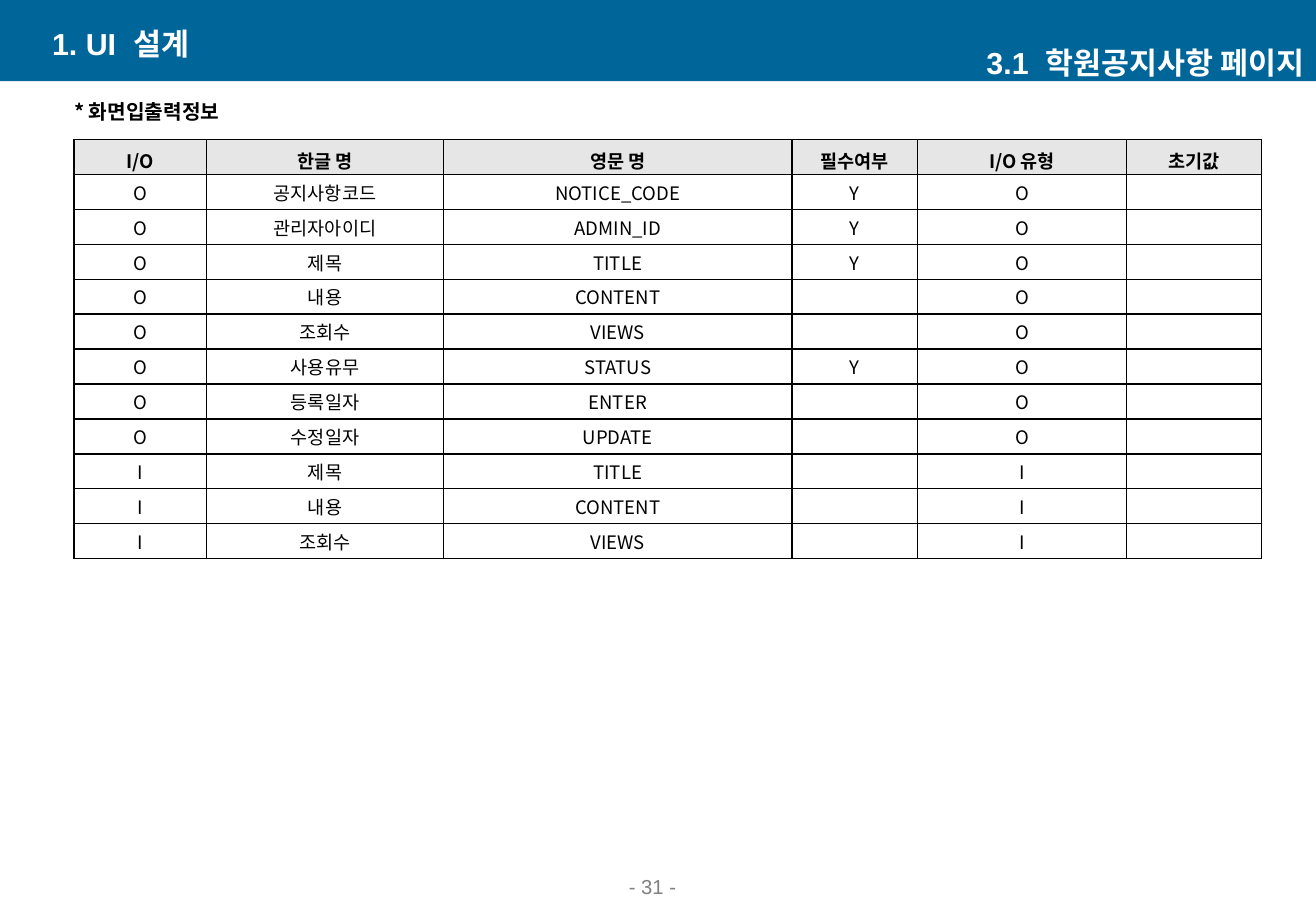
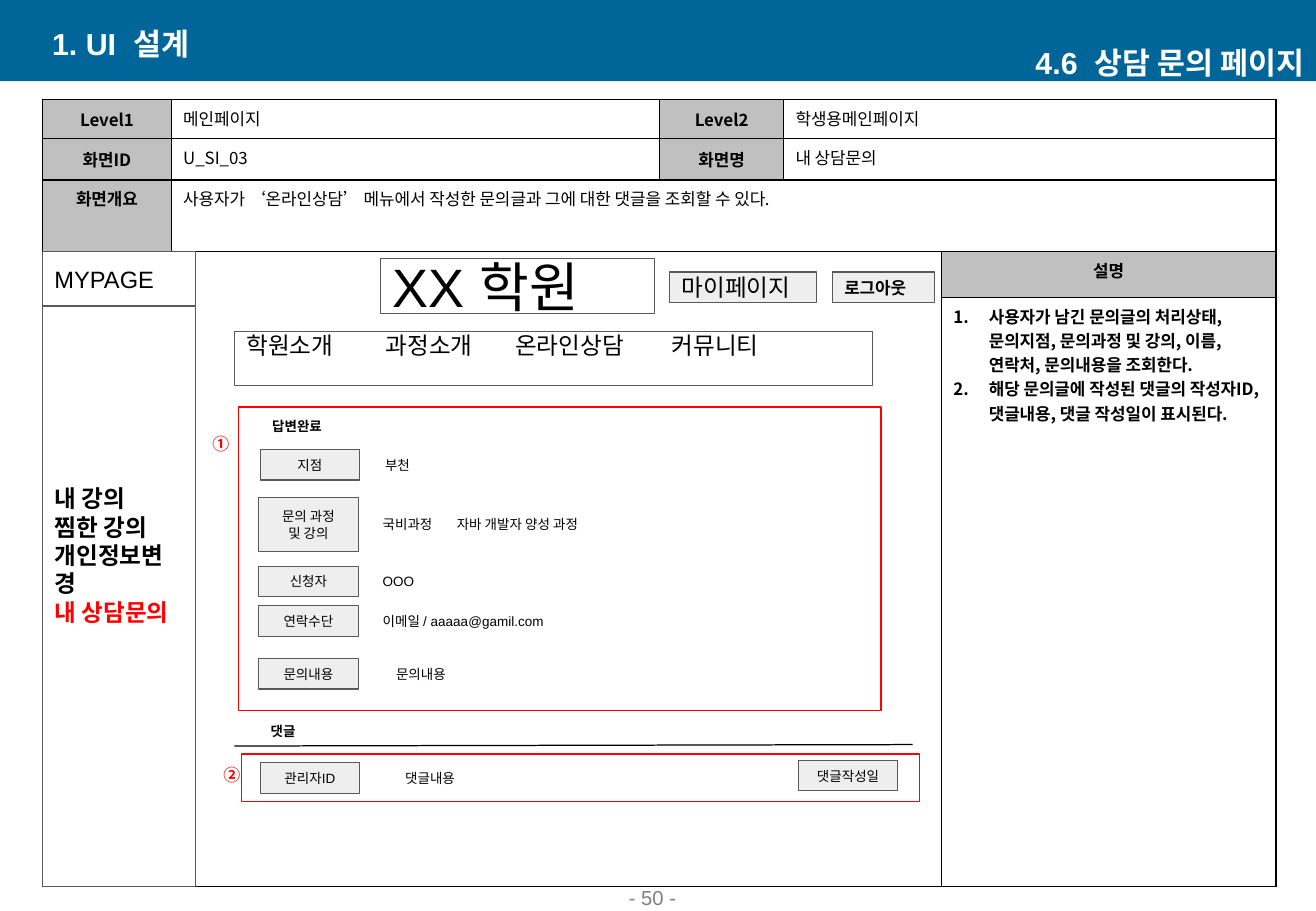
from lxml.etree import SubElement
from pptx import Presentation
from pptx.dml.color import RGBColor
from pptx.enum.shapes import MSO_CONNECTOR, MSO_SHAPE
from pptx.enum.text import MSO_ANCHOR, PP_ALIGN
from pptx.oxml.ns import qn
from pptx.util import Cm, Pt

COLORS = {"band": "006699", "white": "FFFFFF", "black": "000000", "footer": "808080",
          "red": "FF0000", "outline": "595959", "button": "EEEEEE",
          "header": "E6E6E6", "label": "C0C0C0"}
RGB = {name: RGBColor.from_string(value) for name, value in COLORS.items()}
NOTO = "Noto Sans CJK KR"
LEFT, CENTER, RIGHT = PP_ALIGN.LEFT, PP_ALIGN.CENTER, PP_ALIGN.RIGHT


def write(frame, lines, size, color="black", bold=False, align=LEFT,
          font="Arial", tabs=(), numbered=False):
    for index, line in enumerate(lines):
        para = frame.paragraphs[0] if index == 0 else frame.add_paragraph()
        para.text = line
        para.alignment = align
        properties = para._p.get_or_add_pPr()
        if numbered:
            properties.set("marL", str(Cm(0.74)))
            properties.set("indent", str(-Cm(0.74)))
            SubElement(properties, qn("a:buFont")).set("typeface", "+mj-lt")
            SubElement(properties, qn("a:buAutoNum")).set("type", "arabicPeriod")
        if tabs:
            stops = SubElement(properties, qn("a:tabLst"))
            for position in tabs:
                stop = SubElement(stops, qn("a:tab"))
                stop.set("pos", str(Cm(position)))
                stop.set("algn", "l")
        para.font.size = Pt(size)
        para.font.bold = bold
        para.font.name = font
        para.font.color.rgb = RGB[color]
        SubElement(properties.find(qn("a:defRPr")), qn("a:ea")).set("typeface", NOTO)


def add_box(page, at, lines=(), size=8, fill=None, line=None, **style):
    place = [Cm(value) for value in at]
    if fill or line:
        box = page.shapes.add_shape(MSO_SHAPE.RECTANGLE, *place)
        box.shadow.inherit = False
        if fill:
            box.fill.solid()
            box.fill.fore_color.rgb = RGB[fill]
        else:
            box.fill.background()
        if line:
            box.line.color.rgb = RGB[line]
            box.line.width = Pt(0.75)
        else:
            box.line.fill.background()
    else:
        box = page.shapes.add_textbox(*place)
    frame = box.text_frame
    frame.word_wrap = True
    frame.vertical_anchor = MSO_ANCHOR.MIDDLE
    frame.margin_left = frame.margin_right = Cm(0.25)
    frame.margin_top = frame.margin_bottom = 0
    write(frame, lines, size, **style)
    return box


deck = Presentation()
deck.slide_width, deck.slide_height = Cm(27.51), Cm(19.05)

pages = []
for title, footer, footer_top in [("3.1  학원공지사항 페이지", "- 31 -", 18.28),
                                  ("4.6  상담 문의 페이지", "- 50 -", 18.51)]:
    page = deck.slides.add_slide(deck.slide_layouts[6])
    add_box(page, (0, 0, 27.51, 1.7), fill="band")
    add_box(page, (0.84, 0.48, 11.13, 0.84), ["1. UI  설계"], 18, color="white", bold=True)
    add_box(page, (16.38, 0.89, 11.13, 0.84), [title], 18, color="white", bold=True, align=RIGHT)
    add_box(page, (10.77, footer_top, 5.74, 0.5), [footer], 12, color="footer", align=CENTER)
    pages.append(page)
notice_page, inquiry_page = pages

tables = []
for page, left, top, widths, heights in [
        (notice_page, 1.55, 2.92, (2.77, 4.95, 7.29, 2.62, 4.37, 2.82), (0.73,) * 12),
        (inquiry_page, 0.89, 2.08, (2.69, 10.21, 2.59, 3.3, 6.99), (0.82, 0.86, 1.5, 0.96, 12.32))]:
    table = page.shapes.add_table(len(heights), len(widths), Cm(left), Cm(top),
                                  Cm(sum(widths)), Cm(sum(heights))).table
    table.first_row = table.horz_banding = False
    for column, width in zip(table.columns, widths):
        column.width = Cm(width)
    for row, height in zip(table.rows, heights):
        row.height = Cm(height)
    for cell in table.iter_cells():
        properties = cell._tc.get_or_add_tcPr()
        for side in ("a:lnL", "a:lnR", "a:lnT", "a:lnB"):
            border = SubElement(properties, qn(side))
            border.set("w", str(Pt(1)))
            paint = SubElement(border, qn("a:solidFill"))
            SubElement(paint, qn("a:srgbClr")).set("val", COLORS["black"])
        cell.fill.background()
    tables.append(table)
notice_table, inquiry_table = tables

add_box(notice_page, (1.3, 1.96, 5, 0.76), ["* 화면입출력정보"], 12, bold=True, font=NOTO)
fields = [("O", "공지사항코드", "NOTICE_CODE", "Y"), ("O", "관리자아이디", "ADMIN_ID", "Y"),
          ("O", "제목", "TITLE", "Y"), ("O", "내용", "CONTENT", ""),
          ("O", "조회수", "VIEWS", ""), ("O", "사용유무", "STATUS", "Y"),
          ("O", "등록일자", "ENTER", ""), ("O", "수정일자", "UPDATE", ""),
          ("I", "제목", "TITLE", ""), ("I", "내용", "CONTENT", ""), ("I", "조회수", "VIEWS", "")]
notice_rows = [("I/O", "한글 명", "영문 명", "필수여부", "I/O 유형", "초기값")]
notice_rows += [(*field, field[0], "") for field in fields]
for row_index, texts in enumerate(notice_rows):
    is_header = row_index == 0
    for column_index, text in enumerate(texts):
        cell = notice_table.cell(row_index, column_index)
        cell.margin_left = cell.margin_right = Cm(0.03)
        cell.margin_top = cell.margin_bottom = 0
        cell.vertical_anchor = MSO_ANCHOR.MIDDLE
        write(cell.text_frame, [text], 11, bold=is_header, align=CENTER, font=NOTO)
        if is_header:
            cell.text_frame.paragraphs[0].line_spacing = 1.27
            cell.fill.solid()
            cell.fill.fore_color.rgb = RGB["header"]

for first, last in [((0, 3), (0, 4)), ((1, 3), (1, 4)), ((2, 1), (2, 4)), ((3, 0), (4, 3))]:
    inquiry_table.cell(*first).merge(inquiry_table.cell(*last))
labels = {(0, 0): "Level1", (0, 2): "Level2", (1, 0): "화면ID", (1, 2): "화면명",
          (2, 0): "화면개요", (3, 4): "설명"}
details = {(0, 1): "메인페이지", (0, 3): "학생용메인페이지", (1, 1): "U_SI_03",
           (1, 3): "내 상담문의",
           (2, 1): "사용자가 ‘온라인상담’ 메뉴에서 작성한 문의글과 그에 대한 댓글을 조회할 수 있다."}
notes = ["사용자가 남긴 문의글의 처리상태, 문의지점, 문의과정 및 강의, 이름, 연락처, 문의내용을 조회한다.",
         "해당 문의글에 작성된 댓글의 작성자ID, 댓글내용, 댓글 작성일이 표시된다."]
for row_index in range(5):
    for column_index in range(5):
        spot = (row_index, column_index)
        cell = inquiry_table.cell(*spot)
        cell.margin_left = cell.margin_right = Cm(0.25)
        cell.margin_top = cell.margin_bottom = Cm(0.13)
        if spot in labels:
            write(cell.text_frame, [labels[spot]], 10, bold=True, align=CENTER, font=NOTO)
            cell.vertical_anchor = MSO_ANCHOR.MIDDLE if row_index < 2 else MSO_ANCHOR.TOP
            cell.fill.solid()
            cell.fill.fore_color.rgb = RGB["label"]
        elif spot == (4, 4):
            write(cell.text_frame, notes, 10, bold=True, font=NOTO, numbered=True)
        else:
            write(cell.text_frame, [details.get(spot, "")], 10, font=NOTO)

panel = {"fill": "white", "line": "outline"}
button = {"fill": "button", "line": "outline"}
add_box(inquiry_page, (7.95, 5.41, 5.74, 1.14), ["XX 학원"], 32, **panel)
side_menu = add_box(inquiry_page, (0.89, 5.26, 3.2, 13.28),
                    ["내 강의", "찜한 강의", "개인정보변경", "내 상담문의"], 14, bold=True, **panel)
side_menu.text_frame.margin_bottom = Cm(0.59)
side_menu.text_frame.paragraphs[-1].font.color.rgb = RGB["red"]
add_box(inquiry_page, (0.89, 5.26, 3.2, 1.14), ["MYPAGE"], 14, **panel)
top_menu = add_box(inquiry_page, (4.9, 6.93, 13.34, 1.14),
                   ["학원소개\t과정소개\t온라인상담\t커뮤니티"], 14, tabs=(2.91, 5.62, 8.89), **panel)
top_menu.text_frame.vertical_anchor = MSO_ANCHOR.TOP
add_box(inquiry_page, (14, 5.69, 3.07, 0.64), ["마이페이지"], 14, **button)
add_box(inquiry_page, (17.4, 5.69, 2.13, 0.64), ["로그아웃"], 10, bold=True, **button)

for label_left, top, height, label, value_left, value in [
        (5.44, 9.4, 0.64, ["지점"], 7.8, "부천"),
        (5.41, 10.41, 1.12, ["문의 과정", "및 강의"], 7.75, "국비과정\t자바 개발자 양성 과정"),
        (5.41, 11.84, 0.64, ["신청자"], 7.75, "OOO"),
        (5.41, 12.67, 0.64, ["연락수단"], 7.75, "이메일 / aaaaa@gamil.com"),
        (5.41, 13.77, 0.64, ["문의내용"], 8.03, "문의내용"),
        (5.44, 15.95, 0.64, ["관리자ID"], 8.22, "댓글내용")]:
    add_box(inquiry_page, (label_left, top, 2.08, height), label, align=CENTER, **button)
    add_box(inquiry_page, (value_left, top, 7.5, height), [value], tabs=(1.55,))
add_box(inquiry_page, (16.69, 15.9, 2.08, 0.64), ["댓글작성일"], align=CENTER, **button)
for left, top, heading in [(5.44, 8.59, "답변완료"), (5.41, 14.96, "댓글")]:
    add_box(inquiry_page, (left, top, 2.08, 0.64), [heading], bold=True)

divider = inquiry_page.shapes.add_connector(MSO_CONNECTOR.STRAIGHT, Cm(4.9), Cm(15.6),
                                            Cm(19.08), Cm(15.57))
divider.line.color.rgb = RGB["black"]
divider.line.width = Pt(0.75)
SubElement(divider._element.spPr, qn("a:effectLst"))

for mark, mark_place, frame_place in [
        ("①", (4.19, 8.8, 0.86, 0.94), (4.98, 8.51, 13.44, 6.35)),
        ("②", (4.42, 15.74, 0.86, 0.94), (5.05, 15.77, 14.17, 0.99))]:
    add_box(inquiry_page, mark_place, [mark], 10, color="red", bold=True, font=NOTO)
    add_box(inquiry_page, frame_place, line="red")

deck.save("out.pptx")
